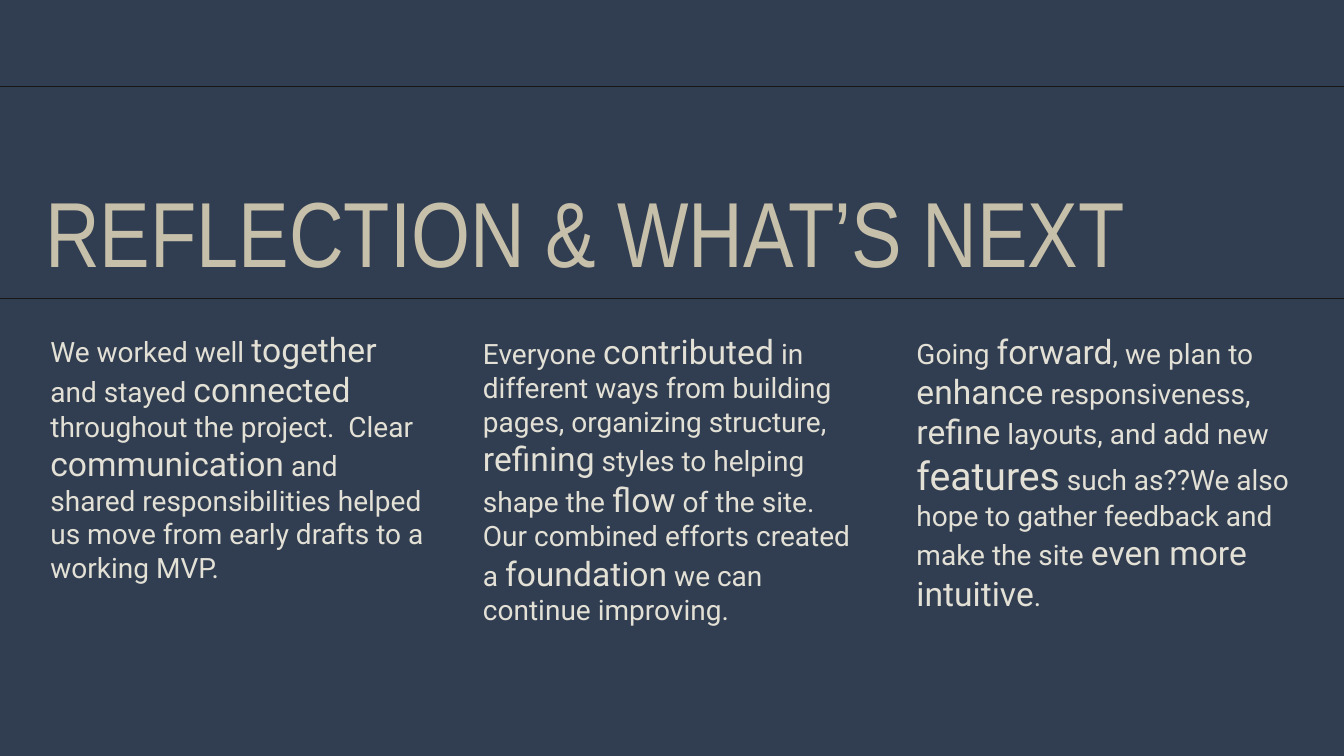
"""Build the reflection slide: a large title between rules and three text columns."""
from pptx import Presentation
from pptx.dml.color import RGBColor
from pptx.enum import shapes, text
from pptx.util import Inches, Pt
from lxml import etree

COLORS = {"back": "313E51", "rule": "171717", "title": "C6BFA9", "body": "E3E0D6"}
A = "http://schemas.openxmlformats.org/drawingml/2006/main"

COLUMNS = [
    (0.35, 3.23, [
        ("We worked well ", 20), ("together", 24), (" and stayed ", 20),
        ("connected", 24), (" throughout the project.  Clear ", 20),
        ("communication", 24),
        (" and shared responsibilities helped us move from early drafts "
         "to a working MVP.", 20)]),
    (4.64, 3.25, [
        ("Everyone ", 20), ("contributed", 24),
        (" in different ways from building pages, organizing structure, ", 20),
        ("refining", 24), (" styles to helping shape the ", 20), ("flow", 24),
        (" of the site.  Our combined efforts created a ", 20),
        ("foundation", 24), (" we can continue improving.", 20)]),
    (8.94, 3.25, [
        ("Going ", 20), ("forward", 24), (", we plan to ", 20), ("enhance", 24),
        (" responsiveness, ", 20), ("refine", 24),
        (" layouts, and add new ", 20), ("features", 28),
        (" such as??We also hope to gather feedback and make the site ", 20),
        ("even more intuitive", 24), (".", 20)]),
]


def add_run(p, words, size, font, color):
    r = p.add_run()
    r.text = words
    r.font.size = Pt(size)
    r.font.name = font
    r.font.color.rgb = RGBColor.from_string(COLORS[color])


prs = Presentation()
prs.slide_width, prs.slide_height = Inches(13.33), Inches(7.5)
s = prs.slides.add_slide(prs.slide_layouts[5])
s.background.fill.solid()
s.background.fill.fore_color.rgb = RGBColor.from_string(COLORS["back"])

for y in (0.86, 2.96):
    rule = s.shapes.add_connector(
        shapes.MSO_CONNECTOR.STRAIGHT, 0, Inches(y), prs.slide_width, Inches(y))
    rule.line.color.rgb = RGBColor.from_string(COLORS["rule"])
    rule.line.width = Pt(0.75)
    etree.SubElement(rule._element.spPr, f"{{{A}}}effectLst")

title = s.shapes.title
title.left, title.top = Inches(0.35), Inches(1.13)
title.width, title.height = Inches(12.49), Inches(1.73)
tf = title.text_frame
tf.word_wrap = True
tf.auto_size = text.MSO_AUTO_SIZE.NONE
tf.vertical_anchor = text.MSO_ANCHOR.BOTTOM
p = tf.paragraphs[0]
p.alignment = text.PP_ALIGN.LEFT
p.line_spacing = 0.7
add_run(p, "REFLECTION & WHAT’S NEXT", 66, "Arial Narrow", "title")

for x, y, runs in COLUMNS:
    sp = s.shapes.add_textbox(Inches(x), Inches(y), Inches(3.9), Inches(3.35))
    tf = sp.text_frame
    tf.word_wrap = True
    tf.margin_left = Inches(0.15)
    tf.margin_top = tf.margin_right = tf.margin_bottom = Inches(0.03)
    p = tf.paragraphs[0]
    for words, size in runs:
        add_run(p, words, size, "Roboto", "body")

prs.save("out.pptx")
